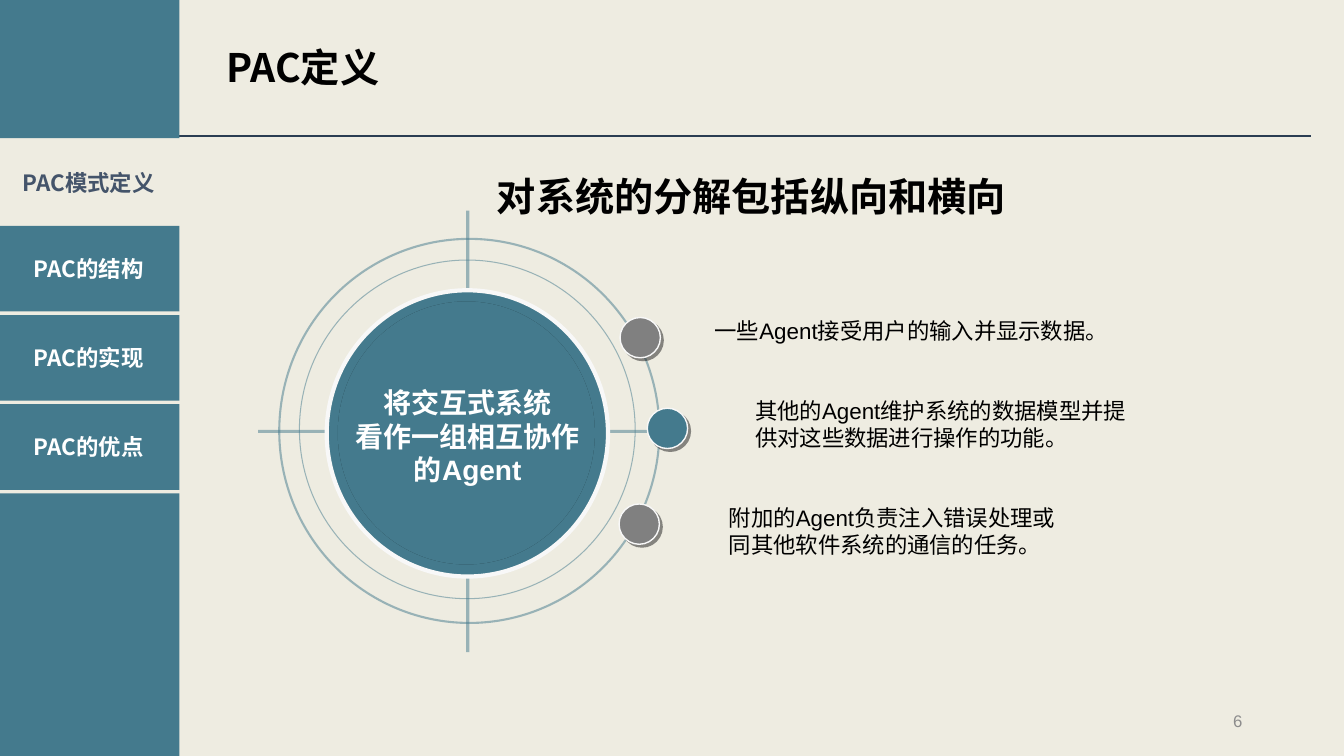
from lxml import etree
from pptx import Presentation
from pptx import util as u
from pptx.dml.color import RGBColor
from pptx.enum import shapes, text
from pptx.oxml import ns

HUES = {"teal": "447A8D", "sand": "EEECE1", "navy": "2A3D52", "slate": "44546A",
        "gray": "808080", "pale": "F8F8F8", "white": "FFFFFF", "black": "000000",
        "dim": "8C8C8C", "dark": "1C1C1C"}
SANS, CJK = "Arial", "Noto Sans CJK SC"
ALIGN = text.PP_ALIGN
MID = text.MSO_ANCHOR.MIDDLE
FIT = text.MSO_AUTO_SIZE.SHAPE_TO_FIT_TEXT


def hue(name):
    return RGBColor.from_string(HUES[name])


def sub(node, tag, **attrs):
    return etree.SubElement(node, ns.qn(tag), **attrs)


def stroke(line, color, width, alpha=None):
    line.color.rgb = hue(color)
    line.width = u.Pt(width)
    if alpha:
        clr = line._get_or_add_ln().find(".//" + ns.qn("a:srgbClr"))
        sub(clr, "a:alpha", val=str(alpha * 1000))


def write(shape, words, size, color, font=SANS, bold=False,
          align=ALIGN.LEFT, anchor=None, wrap=True):
    frame = shape.text_frame
    frame.text = words
    frame.word_wrap = wrap
    if anchor is not None:
        frame.vertical_anchor = anchor
    for para in frame.paragraphs:
        para.alignment = align
        for run in para.runs:
            run.font.size = u.Pt(size)
            run.font.bold = bold
            run.font.name = font
            run.font.color.rgb = hue(color)
            sub(run._r.get_or_add_rPr(), "a:ea", typeface=CJK)


def label(slide, box, words, size, color="black", grow=True, **style):
    shape = slide.shapes.add_textbox(*map(u.Inches, box))
    write(shape, words, size, color, **style)
    if grow:
        shape.text_frame.auto_size = FIT


def block(slide, kind, box, fill=None, line=None, shade=None):
    """line: (color, width, alpha); shade: (color, distance in points)."""
    shape = slide.shapes.add_shape(kind, *map(u.Inches, box))
    shape.shadow.inherit = False
    if fill:
        shape.fill.solid()
        shape.fill.fore_color.rgb = hue(fill)
    else:
        shape.fill.background()
    if line:
        stroke(shape.line, *line)
    else:
        shape.line.fill.background()
    if shade:
        color, dist = shade
        effect = shape._element.spPr.find(ns.qn("a:effectLst"))
        cast = sub(effect, "a:outerShdw", dist=str(u.Pt(dist)),
                   dir="2700000", algn="ctr", rotWithShape="0")
        sub(sub(cast, "a:srgbClr", val=HUES[color]), "a:alpha", val="50000")
    return shape


def disc(slide, box, **style):
    return block(slide, shapes.MSO_SHAPE.OVAL, box, **style)


def rule(slide, ends, *style):
    line = slide.shapes.add_connector(shapes.MSO_CONNECTOR.STRAIGHT,
                                      *map(u.Inches, ends))
    stroke(line.line, *style)
    sub(line._element.spPr, "a:effectLst")


def header(slide, box):
    x, y, w, h = box
    rule(slide, (x, y + h, x + w, y + h), "navy", 1)
    label(slide, (x + 0.8, y + 0.38, 3.97, 0.57), "PAC定义", 28,
          font=CJK, bold=True)


def target(slide, box):
    x, y, w, h = box
    # Cross hairs
    rule(slide, (x, y + h / 2, x + w, y + h / 2), "teal", 2.25, 50)
    rule(slide, (x + w / 2, y, x + w / 2, y + h), "teal", 2.25, 50)
    # Rings, then the filled core
    disc(slide, (x + 0.41, y + 0.49, 3.33, 3.36), line=("teal", 0.75, 50))
    disc(slide, (x + 0.21, y + 0.28, 3.77, 3.81), line=("teal", 1.5, 50))
    disc(slide, (x + 0.68, y + 0.79, 2.79, 2.84), fill="teal", line=("pale", 3))
    disc(slide, (x + 0.79, y + 0.9, 2.55, 2.61), fill="teal", shade=("black", 0))
    core = disc(slide, (x + 1.26, y + 1.4, 1.64, 1.67), fill="teal")
    write(core, "将交互式系统\n看作一组相互协作\n的Agent", 20, "white", bold=True,
          align=ALIGN.CENTER, anchor=MID, wrap=False)


def points(slide, box):
    x, y = box[:2]
    # Dot offset, dot color, text box offset and size, words
    rows = [
        (0.01, 0, "gray", (0.85, -0.05, 4.34, 0.37),
         "一些Agent接受用户的输入并显示数据。"),
        (0.28, 0.9, "teal", (1.25, 0.74, 4.05, 0.64),
         "其他的Agent维护系统的数据模型并提供对这些数据进行操作的功能。"),
        (0, 1.85, "gray", (0.99, 1.8, 3.6, 0.64),
         "附加的Agent负责注入错误处理或同其他软件系统的通信的任务。"),
    ]
    for dx, dy, color, (tx, ty, tw, th), words in rows:
        disc(slide, (x + dx, y + dy, 0.4, 0.4), fill=color,
             line=("pale", 1), shade=("dark", 2.8))
        disc(slide, (x + dx + 0.04, y + dy + 0.04, 0.33, 0.33), fill=color)
        label(slide, (x + tx, y + ty, tw, th), words, 16)


def sidebar(slide, box):
    x, y, w, h = box
    rect = shapes.MSO_SHAPE.RECTANGLE
    tall, step, start = 0.85, 0.885, y + 2.27
    tabs = [("PAC模式定义", y + 1.42, "sand", "slate")]
    tabs += [(words, start + i * step, "teal", "white") for i, words in
             enumerate(["PAC的结构", "PAC的实现", "PAC的优点"])]
    # Top and bottom panels
    foot = start + 3 * step
    block(slide, rect, (x, y, w, 1.4), fill="teal")
    block(slide, rect, (x, foot, w, y + h - foot), fill="teal")
    # Tabs, the current one first
    for words, top, fill, color in tabs:
        tab = block(slide, rect, (x, top, w, tall), fill=fill)
        write(tab, words, 16, color, font=CJK, bold=True,
              align=ALIGN.CENTER, anchor=MID)


def main():
    deck = Presentation()
    deck.slide_width, deck.slide_height = u.Inches(13.33), u.Inches(7.5)
    slide = deck.slides.add_slide(deck.slide_layouts[6])
    slide.background.fill.solid()
    slide.background.fill.fore_color.rgb = hue("sand")

    header(slide, (1.35, 0, 11.65, 1.35))
    target(slide, (2.56, 2.09, 4.16, 4.38))
    points(slide, (6.14, 3.15, 5.3, 2.44))
    # Page number and heading
    label(slide, (9.42, 6.95, 3, 0.4), "6", 12, "dim", grow=False,
          align=ALIGN.RIGHT, anchor=MID)
    label(slide, (4.83, 1.66, 5.6, 0.57), "对系统的分解包括纵向和横向", 28,
          font=CJK, bold=True)
    sidebar(slide, (-0.02, -0.03, 1.8, 7.72))
    deck.save("out.pptx")


if __name__ == "__main__":
    main()
